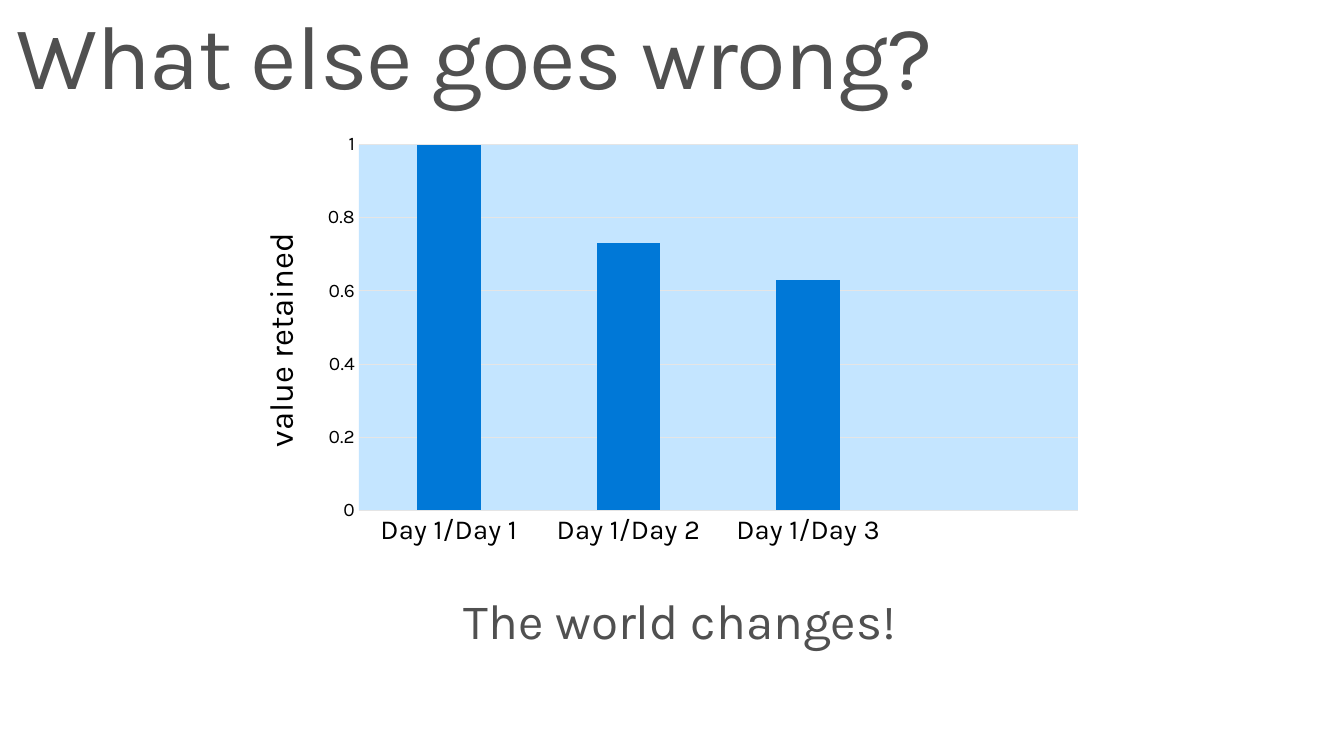
from lxml.etree import SubElement as Sub
from pptx import Presentation
from pptx.chart.data import CategoryChartData as Data
from pptx.dml.color import RGBColor
from pptx.enum.chart import XL_CHART_TYPE as Kind, XL_TICK_MARK as Tick
from pptx.enum.text import MSO_ANCHOR as Anchor, PP_ALIGN as Align
from pptx.oxml import parse_xml
from pptx.oxml.ns import nsdecls, qn
from pptx.util import Pt

GREY = RGBColor(0x50, 0x50, 0x50)
BLACK = RGBColor(0, 0, 0)
RULE = RGBColor(0xE5, 0xE5, 0xE5)
BLUE = RGBColor(0x00, 0x78, 0xD7)
SKY = RGBColor(0xC4, 0xE5, 0xFF)
FACE = "Karla"


def style(font, size, color):
    font.name = FACE
    font.size = Pt(size)
    font.bold = False
    font.color.rgb = color


def rule(line):
    line.color.rgb = RULE
    line.width = Pt(0.75)


def write(frame, text, size, align, anchor, pad):
    frame.word_wrap = True
    frame.vertical_anchor = anchor
    frame.margin_left = frame.margin_right = Pt(pad[0])
    frame.margin_top = frame.margin_bottom = Pt(pad[1])
    frame.text = text
    para = frame.paragraphs[0]
    para.alignment = align
    para.line_spacing = 0.9
    run = para.runs[0]
    style(run.font, size, GREY)
    return run


def add_title(slide, x, y, w, h):
    title = slide.shapes.title
    title.left, title.top, title.width, title.height = map(Pt, (x, y, w, h))
    run = write(title.text_frame, "What else goes wrong?", 66,
                Align.LEFT, Anchor.TOP, (11.5, 7.2))
    run.font._element.set("spc", "-100")


def add_note(slide, x, y, w, h):
    box = slide.shapes.add_textbox(*map(Pt, (x, y, w, h)))
    write(box.text_frame, "The world changes!", 36,
          Align.CENTER, Anchor.MIDDLE, (7.2, 3.6))


def set_plot(chart):
    area = chart._chartSpace.find(".//" + qn("c:plotArea"))
    for old in area.findall(qn("c:layout")):
        area.remove(old)
    layout = parse_xml(f"<c:layout {nsdecls('c')}/>")
    area.insert(0, layout)
    manual = Sub(layout, qn("c:manualLayout"))
    for tag, val in (("layoutTarget", "inner"), ("xMode", "edge"),
                     ("yMode", "edge"), ("x", "0.13"), ("y", "0.06"),
                     ("w", "0.85"), ("h", "0.81")):
        Sub(manual, qn("c:" + tag)).set("val", val)
    area.append(parse_xml(
        f"<c:spPr {nsdecls('c', 'a')}><a:solidFill>"
        f'<a:srgbClr val="{SKY}"/></a:solidFill></c:spPr>'))


def add_bars(slide, x, y, w, h):
    data = Data()
    data.categories = ["Day 1/Day 1", "Day 1/Day 2", "Day 1/Day 3", ""]
    data.add_series("Series 1", (1, 0.73, 0.63, None))
    chart = slide.shapes.add_chart(
        Kind.COLUMN_CLUSTERED, *map(Pt, (x, y, w, h)), data).chart
    style(chart.font, 10, GREY)
    chart.has_legend = False
    chart.has_title = False
    plot = chart.plots[0]
    plot.gap_width = 182
    plot.vary_by_categories = False
    fill = plot.series[0].format.fill
    fill.solid()
    fill.fore_color.rgb = BLUE

    days, worth = chart.category_axis, chart.value_axis
    for axis, size in ((days, 20), (worth, 14)):
        axis.major_tick_mark = axis.minor_tick_mark = Tick.NONE
        style(axis.tick_labels.font, size, BLACK)
    rule(days.format.line)
    worth.format.line.fill.background()
    worth.minimum_scale, worth.maximum_scale = 0, 1
    worth.major_unit = 0.2
    worth.tick_labels.number_format = "General"
    worth.tick_labels.number_format_is_linked = False
    worth.has_major_gridlines = True
    rule(worth.major_gridlines.format.line)
    label = worth.axis_title.text_frame
    label.text = "value retained"
    style(label.paragraphs[0].runs[0].font, 24, BLACK)
    set_plot(chart)


def main():
    deck = Presentation()
    deck.slide_width, deck.slide_height = Pt(979.2), Pt(550.8)
    slide = deck.slides.add_slide(deck.slide_layouts[5])
    add_title(slide, 0.7, 0.7, 692.6, 63.4)
    add_note(slide, 170, 401, 651, 106.6)
    add_bars(slide, 181.4, 85.7, 616.3, 329)
    deck.save("out.pptx")


if __name__ == "__main__":
    main()
